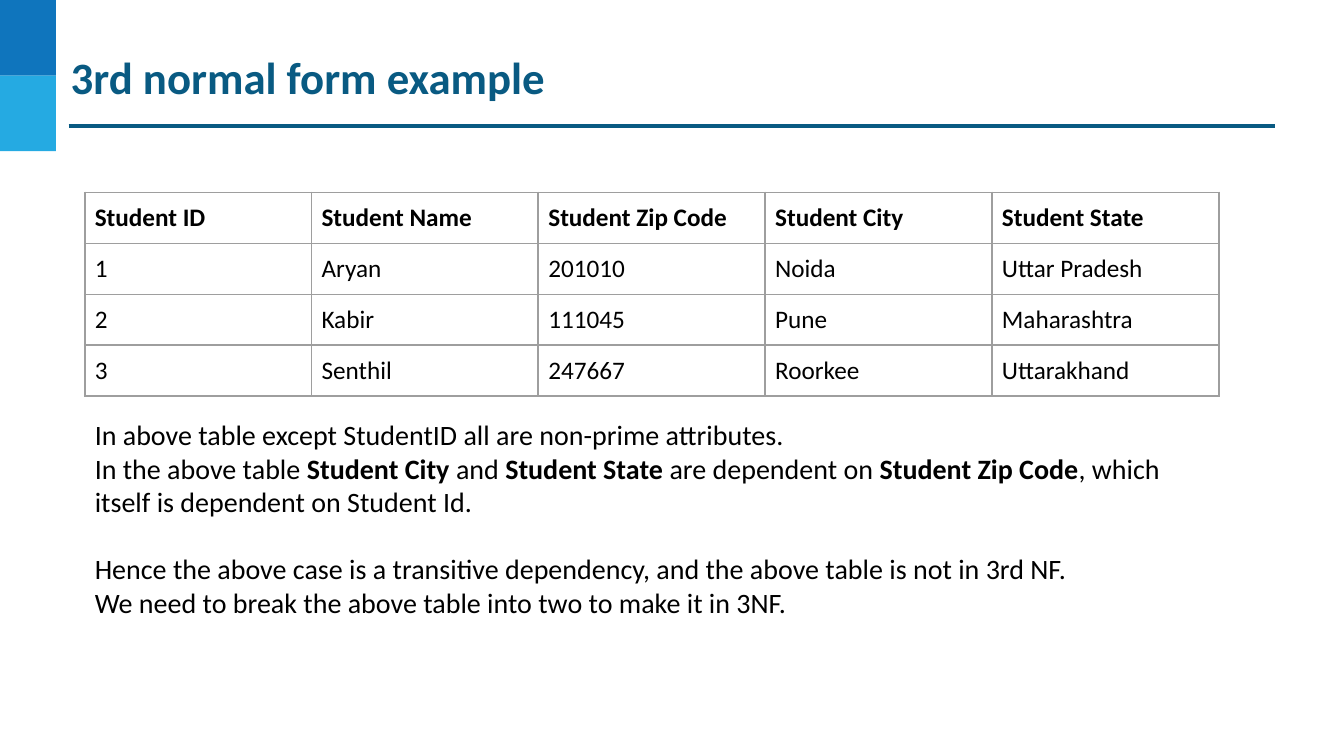
"""Build the slide showing a table that is not in third normal form."""
from lxml.etree import SubElement
from pptx import Presentation
from pptx.dml.color import RGBColor
from pptx.enum.shapes import MSO_CONNECTOR, MSO_SHAPE
from pptx.enum.text import MSO_ANCHOR, MSO_AUTO_SIZE, PP_ALIGN
from pptx.oxml import parse_xml
from pptx.oxml.ns import nsdecls, qn
from pptx.util import Pt

NAVY = RGBColor(0x09, 0x5A, 0x82)
BLUE = RGBColor(0x0F, 0x75, 0xBD)
SKY = RGBColor(0x25, 0xAA, 0xE2)
BLACK = RGBColor(0, 0, 0)
GREY = RGBColor(0x9E, 0x9E, 0x9E)

STUDENTS = [
    ["Student ID", "Student Name", "Student Zip Code", "Student City", "Student State"],
    ["1", "Aryan", "201010", "Noida", "Uttar Pradesh"],
    ["2", "Kabir", "111045", "Pune", "Maharashtra"],
    ["3", "Senthil", "247667", "Roorkee", "Uttarakhand"],
]
EXPLANATION = [
    (0, ["In above table except StudentID all are non-prime attributes."]),
    (0, ["In the above table ", "Student City", " and ", "Student State",
         " are dependent on ", "Student Zip Code",
         ", which itself is dependent on Student Id."]),
    (24, ["Hence the above case is a transitive dependency, "
          "and the above table is not in 3rd NF."]),
    (0, ["We need to break the above table into two to make it in 3NF."]),
]


def style_font(font, size, color, bold):
    font.name = "Calibri"
    font.size = Pt(size)
    font.bold = bold
    font.color.rgb = color


def set_margins(target, margin):
    target.margin_left = target.margin_right = Pt(margin)
    target.margin_top = target.margin_bottom = Pt(margin)


presentation = Presentation()
presentation.slide_width = Pt(960)
presentation.slide_height = Pt(540)
slide = presentation.slides.add_slide(presentation.slide_layouts[1])
title, body = slide.placeholders

for index, color in enumerate([BLUE, SKY]):
    block = slide.shapes.add_shape(MSO_SHAPE.RECTANGLE, 0, Pt(54 * index), Pt(40), Pt(54))
    block.shadow.inherit = False
    block.fill.solid()
    block.fill.fore_color.rgb = color
    block.line.fill.background()

rule = slide.shapes.add_connector(MSO_CONNECTOR.STRAIGHT, Pt(49), Pt(90), Pt(911), Pt(90))
rule.line.color.rgb = NAVY
rule.line.width = Pt(2.25)
SubElement(rule._element.spPr, qn("a:effectLst"))

title.left, title.top, title.width, title.height = Pt(49), Pt(33.5), Pt(862), Pt(42)
title_frame = title.text_frame
title_frame.text = "3rd normal form example"
title_frame.auto_size = MSO_AUTO_SIZE.NONE
title_frame.vertical_anchor = MSO_ANCHOR.MIDDLE
set_margins(title_frame, 1.5)
title_frame.paragraphs[0].alignment = PP_ALIGN.LEFT
style_font(title_frame.paragraphs[0].runs[0].font, 32, NAVY, True)

table = slide.shapes.add_table(
    len(STUDENTS), len(STUDENTS[0]), Pt(60.5), Pt(137.5), Pt(810), Pt(144)).table
table.first_row = False
table.horz_banding = False
for row_index, values in enumerate(STUDENTS):
    for column_index, value in enumerate(values):
        cell = table.cell(row_index, column_index)
        cell.text = value
        set_margins(cell, 7.2)
        style_font(cell.text_frame.paragraphs[0].runs[0].font, 18, BLACK, row_index == 0)
        cell_properties = cell._tc.get_or_add_tcPr()
        for side in "LRTB":
            cell_properties.append(parse_xml(
                f'<a:ln{side} {nsdecls("a")} w="{Pt(1.5)}"><a:solidFill>'
                f'<a:srgbClr val="{GREY}"/></a:solidFill></a:ln{side}>'))
        cell.fill.background()

body.left, body.top, body.width, body.height = Pt(60.5), Pt(291), Pt(793.5), Pt(160)
body_frame = body.text_frame
body_frame.auto_size = MSO_AUTO_SIZE.NONE
body_frame.word_wrap = True
body_frame.vertical_anchor = MSO_ANCHOR.TOP
set_margins(body_frame, 7.2)
for index, (gap, pieces) in enumerate(EXPLANATION):
    paragraph = body_frame.add_paragraph() if index else body_frame.paragraphs[0]
    paragraph.space_before = Pt(gap)
    paragraph_properties = paragraph._p.get_or_add_pPr()
    paragraph_properties.set("marL", "0")
    paragraph_properties.set("indent", "0")
    SubElement(paragraph_properties, qn("a:buNone"))
    for piece_index, piece in enumerate(pieces):
        run = paragraph.add_run()
        run.text = piece
        style_font(run.font, 20, BLACK, piece_index % 2 == 1)

presentation.save("out.pptx")
